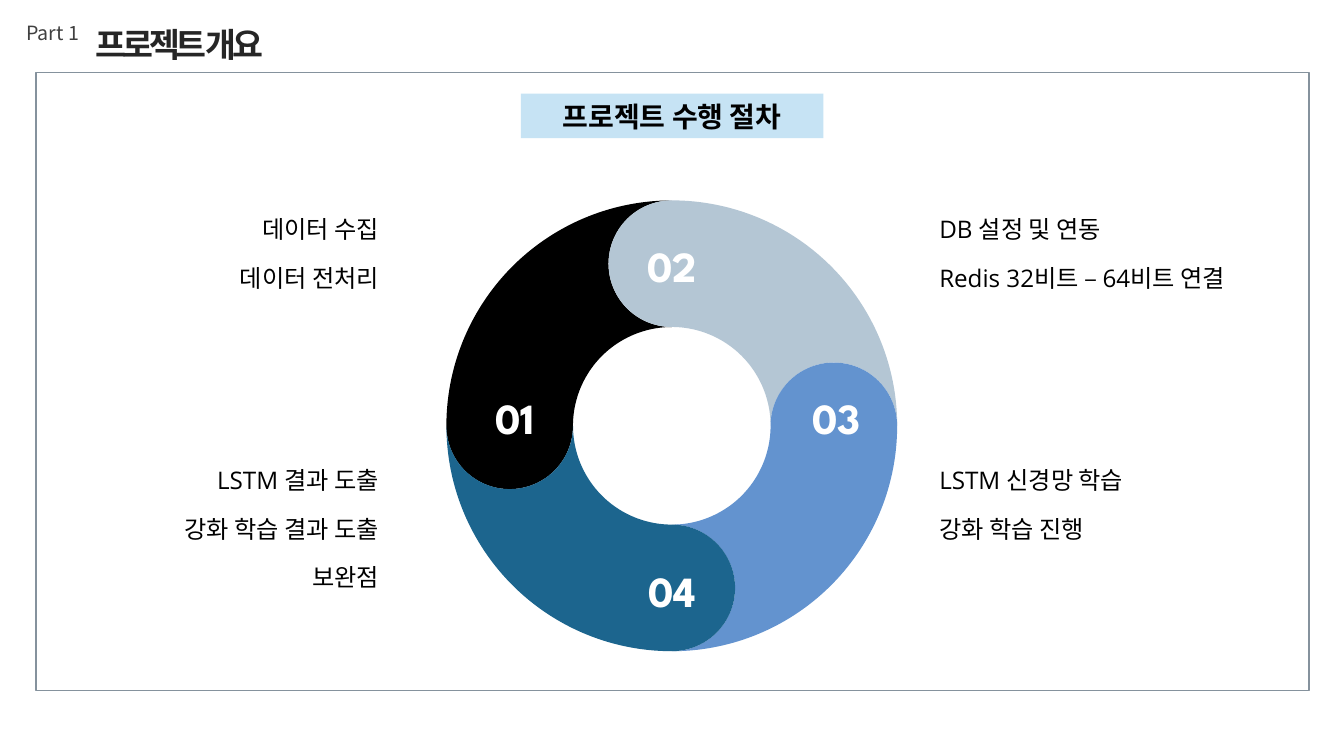
from dataclasses import dataclass
from math import cos, radians, sin

from lxml.etree import SubElement
from pptx import Presentation
from pptx.dml.color import RGBColor
from pptx.enum.shapes import MSO_SHAPE
from pptx.enum.text import MSO_ANCHOR, MSO_AUTO_SIZE, PP_ALIGN
from pptx.oxml.ns import qn
from pptx.util import Cm, Pt

BLACK = RGBColor(0x00, 0x00, 0x00)
WHITE = RGBColor(0xFF, 0xFF, 0xFF)
MIST = RGBColor(0xB4, 0xC6, 0xD4)
BLUE = RGBColor(0x63, 0x93, 0xCF)
TEAL = RGBColor(0x1C, 0x65, 0x8E)
SKY = RGBColor(0xC6, 0xE3, 0xF4)
FRAME_GREY = RGBColor(0x85, 0x92, 0x9D)
PART_GREY = RGBColor(0x40, 0x40, 0x40)
TITLE_GREY = RGBColor(0x26, 0x26, 0x26)

KOREAN_FONT = "Noto Sans CJK KR"
LIST_FONT = "Open Sans"
NUMBER_FONT = "League Spartan"

# Ring measures in centimetres
CENTER_X, CENTER_Y = 16.93, 10.73
OUTER, INNER = 5.68, 2.49
MIDDLE, CAP = (OUTER + INNER) / 2, (OUTER - INNER) / 2


@dataclass(frozen=True)
class Area:
    left: float
    top: float
    width: float
    height: float

    def lengths(self):
        return Cm(self.left), Cm(self.top), Cm(self.width), Cm(self.height)


@dataclass(frozen=True)
class TextStyle:
    size: float
    color: RGBColor
    font: str = KOREAN_FONT
    bold: bool = False
    align: PP_ALIGN = PP_ALIGN.LEFT
    tracking: int = 0
    line_spacing: float = 1.0
    space_after: float = 0


@dataclass(frozen=True)
class Step:
    number: str
    color: RGBColor
    number_left: float
    number_top: float
    list_area: Area
    align: PP_ALIGN
    lines: tuple[str, ...]


LEFT_X, RIGHT_X = 1.73, 23.34
UPPER_Y, LOWER_Y = 5.16, 11.48
LIST_HEIGHT = 4.5

STEPS = (
    Step("01", BLACK, 11.99, 9.78, Area(LEFT_X, UPPER_Y, 8.15, LIST_HEIGHT),
         PP_ALIGN.RIGHT, ("데이터 수집", "데이터 전처리")),
    Step("02", MIST, 15.95, 5.97, Area(RIGHT_X, UPPER_Y, 9.12, LIST_HEIGHT),
         PP_ALIGN.LEFT, ("DB 설정 및 연동", "Redis 32비트 – 64비트 연결")),
    Step("03", BLUE, 20.09, 9.78, Area(RIGHT_X, LOWER_Y, 8.43, LIST_HEIGHT),
         PP_ALIGN.LEFT, ("LSTM 신경망 학습", "강화 학습 진행")),
    Step("04", TEAL, 15.95, 14.15, Area(LEFT_X, LOWER_Y, 8.15, LIST_HEIGHT),
         PP_ALIGN.RIGHT, ("LSTM 결과 도출", "강화 학습 결과 도출", "보완점")),
)


def format_paragraph(para, style: TextStyle) -> None:
    properties = para._p.get_or_add_pPr()
    properties.set("marL", "0")
    properties.set("indent", "0")
    SubElement(properties, qn("a:buNone"))
    para.alignment = style.align
    para.line_spacing = style.line_spacing
    para.space_before = Pt(0)
    para.space_after = Pt(style.space_after)
    font = para.font
    font.size = Pt(style.size)
    font.bold = style.bold
    font.color.rgb = style.color
    font.name = style.font
    defaults = properties.find(qn("a:defRPr"))
    SubElement(defaults, qn("a:ea")).set("typeface", KOREAN_FONT)
    if style.tracking:
        defaults.set("spc", str(style.tracking))


def write_text(shape, lines: tuple[str, ...], style: TextStyle, wrap: bool = True,
               anchor: MSO_ANCHOR = MSO_ANCHOR.TOP,
               margins: tuple[float, float] = (0.25, 0.13)) -> None:
    """Fill a shape with one paragraph per line; margins are across and down."""
    frame = shape.text_frame
    frame.auto_size = MSO_AUTO_SIZE.NONE
    frame.word_wrap = wrap
    frame.vertical_anchor = anchor
    frame.margin_left = frame.margin_right = Cm(margins[0])
    frame.margin_top = frame.margin_bottom = Cm(margins[1])
    frame.text = "\n".join(lines)
    for para in frame.paragraphs:
        format_paragraph(para, style)


def place(shape, area: Area) -> None:
    shape.left, shape.top, shape.width, shape.height = area.lengths()


def ring_point(radius: float, angle: int, ahead: float = 0) -> tuple[int, int]:
    """Point at an anticlockwise angle, moved ahead along the tangent."""
    turn = radians(angle)
    return (Cm(CENTER_X + radius * cos(turn) - ahead * sin(turn)),
            Cm(CENTER_Y - radius * sin(turn) - ahead * cos(turn)))


def draw_segment(slide, head: int, color: RGBColor) -> None:
    """Draw a quarter ring with a round head and a hollow tail."""
    tail = head - 90
    builder = slide.shapes.build_freeform(*ring_point(OUTER, tail))
    builder.add_line_segments([
        ring_point(OUTER, head), ring_point(MIDDLE, head, CAP),
        ring_point(INNER, head), ring_point(INNER, tail)], close=True)
    segment = builder.convert_to_shape()

    # Round the outline: each arc has a radius, a start angle and a sweep
    outline = next(segment._element.iter(qn("a:path")))
    for straight in outline.findall(qn("a:lnTo")):
        outline.remove(straight)
    closing = outline.find(qn("a:close"))
    for radius, start, sweep in ((OUTER, tail, 90), (CAP, head, 180),
                                 (INNER, head, -90), (CAP, tail + 180, -180)):
        curve = SubElement(outline, qn("a:arcTo"))
        curve.set("wR", str(Cm(radius)))
        curve.set("hR", str(Cm(radius)))
        curve.set("stAng", str(-start % 360 * 60000))
        curve.set("swAng", str(-sweep * 60000))
    outline.append(closing)

    segment.shadow.inherit = False
    segment.fill.solid()
    segment.fill.fore_color.rgb = color
    segment.line.fill.background()


def draw_rectangle(slide, area: Area):
    rectangle = slide.shapes.add_shape(MSO_SHAPE.RECTANGLE, *area.lengths())
    rectangle.shadow.inherit = False
    return rectangle


def main() -> None:
    deck = Presentation()
    deck.slide_width, deck.slide_height = Cm(33.87), Cm(19.05)
    slide = deck.slides.add_slide(deck.slide_layouts.get_by_name("Comparison"))
    title, *list_boxes = slide.placeholders

    for index, (step, list_box) in enumerate(zip(STEPS, list_boxes)):
        draw_segment(slide, 180 - 90 * index, step.color)
        place(list_box, step.list_area)
        write_text(list_box, step.lines,
                   TextStyle(17.3, BLACK, LIST_FONT, align=step.align,
                             line_spacing=0.9, space_after=16),
                   margins=(0.33, 0.33))
    for step in STEPS:
        number_area = Area(step.number_left, step.number_top, 1.98, 1.45)
        number_box = slide.shapes.add_textbox(*number_area.lengths())
        write_text(number_box, (step.number,),
                   TextStyle(30.7, WHITE, NUMBER_FONT, True, PP_ALIGN.CENTER),
                   anchor=MSO_ANCHOR.MIDDLE, margins=(0.13, 0.08))

    banner = draw_rectangle(slide, Area(13.13, 2.36, 7.62, 1.12))
    banner.fill.solid()
    banner.fill.fore_color.rgb = SKY
    banner.line.fill.background()
    write_text(banner, ("프로젝트 수행 절차",),
               TextStyle(20, BLACK, bold=True, align=PP_ALIGN.CENTER),
               anchor=MSO_ANCHOR.MIDDLE)

    frame = draw_rectangle(slide, Area(0.91, 1.83, 32.08, 15.57))
    frame.fill.background()
    frame.line.color.rgb = FRAME_GREY
    frame.line.width = Pt(1)

    part_box = slide.shapes.add_textbox(*Area(0.41, 0.41, 1.85, 0.86).lengths())
    write_text(part_box, ("Part 1",), TextStyle(14, PART_GREY), wrap=False)
    place(title, Area(2.16, 0.48, 4.78, 1.27))
    write_text(title, ("프로젝트 개요",),
               TextStyle(24, TITLE_GREY, bold=True, tracking=-300), wrap=False)

    deck.save("out.pptx")


if __name__ == "__main__":
    main()
